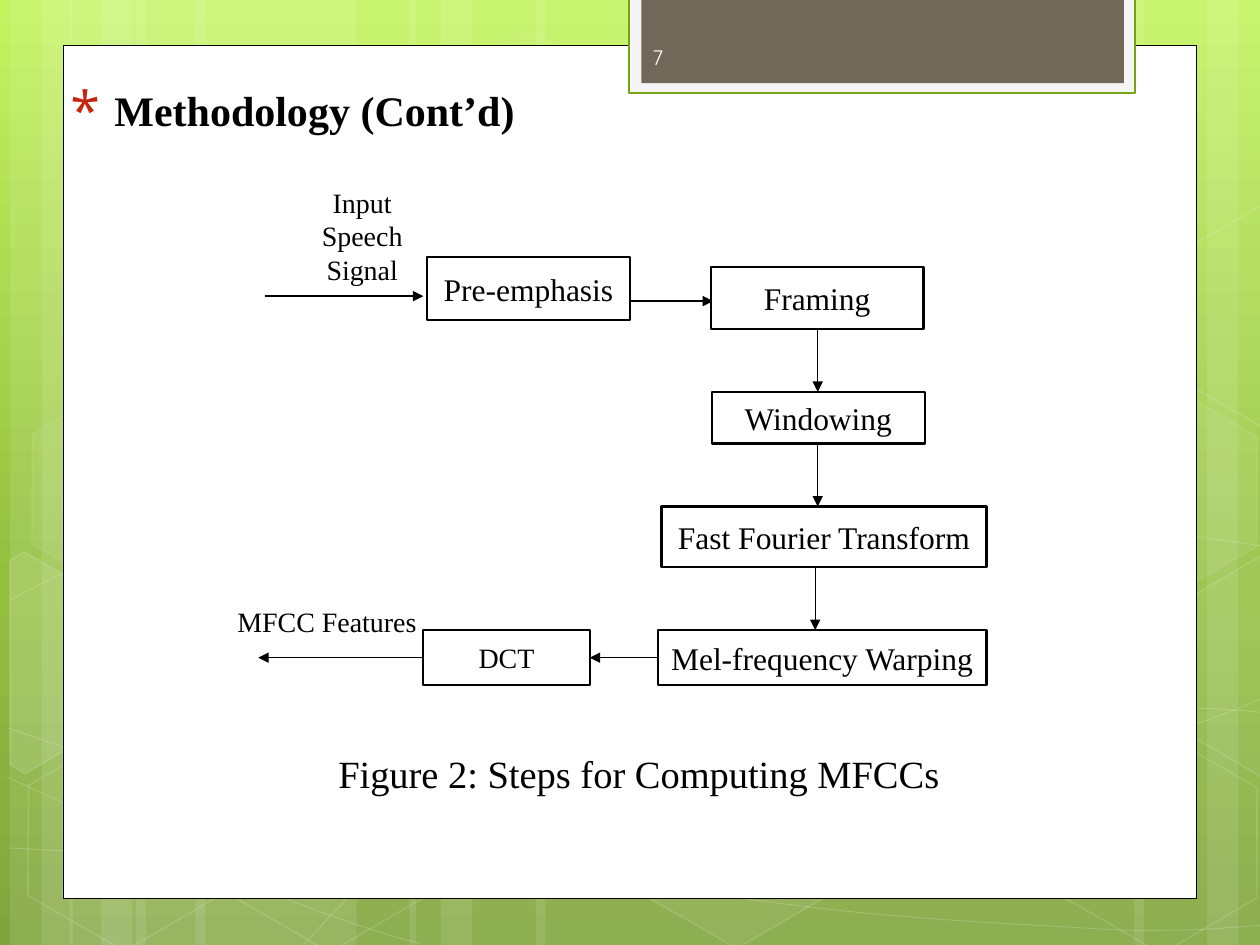
import copy
import pptx
import pptx.util
import pptx.dml.color
import pptx.enum.shapes
import pptx.enum.text
import pptx.oxml.ns
from lxml import etree

Inches, Pt = pptx.util.Inches, pptx.util.Pt
RGBColor = pptx.dml.color.RGBColor
SHAPE = pptx.enum.shapes.MSO_SHAPE
ALIGN, ANCHOR = pptx.enum.text.PP_ALIGN, pptx.enum.text.MSO_ANCHOR
qn = pptx.oxml.ns.qn

WHITE = RGBColor(0xFF, 0xFF, 0xFF)
BLACK = RGBColor(0, 0, 0)
OFF_WHITE = RGBColor(0xF5, 0xF5, 0xF5)
NUMBER_WHITE = RGBColor(0xFE, 0xFE, 0xFE)
GREEN = RGBColor(0x74, 0xA5, 0x10)
BROWN = RGBColor(0x71, 0x68, 0x5A)
RED = RGBColor(0xC3, 0x26, 0x0C)
SKY = [(0, RGBColor(0xC3, 0xF3, 0x5F)), (0.62, RGBColor(0x93, 0xBF, 0x3F)),
       (1, RGBColor(0x81, 0xA5, 0x3E))]
SERIF = "Times New Roman"


def style(sp, fill=None, line=None, width=1, fill_alpha=100, line_alpha=100):
    """Set fill and outline, with opacity in percent."""
    sp.shadow.inherit = False
    if fill is None:
        sp.fill.background()
    else:
        sp.fill.solid()
        sp.fill.fore_color.rgb = fill
    if line is None:
        sp.line.fill.background()
    else:
        sp.line.color.rgb = line
        sp.line.width = Pt(width)
    for where, alpha in (("", fill_alpha), ("a:ln/", line_alpha)):
        if alpha < 100:
            for clr in sp._element.xpath(f"p:spPr/{where}a:solidFill/a:srgbClr"):
                etree.SubElement(clr, qn("a:alpha")).set("val", str(alpha * 1000))


def write(sp, text, size, color=BLACK, font=SERIF, align=ALIGN.CENTER,
          anchor=ANCHOR.TOP, inset=0.1):
    """Fill a shape with one paragraph and return its run."""
    tf = sp.text_frame
    tf.word_wrap = True
    tf.vertical_anchor = anchor
    tf.margin_left = tf.margin_right = Inches(inset)
    p = tf.paragraphs[0]
    p.alignment = align
    r = p.add_run()
    r.text = text
    r.font.size, r.font.name, r.font.color.rgb = Pt(size), font, color
    return r


prs = pptx.Presentation()
prs.slide_width, prs.slide_height = Inches(10), Inches(7.5)
s = prs.slides.add_slide(prs.slide_layouts[6])

# Gradient background
bg = s.background.fill
bg.gradient()
bg.gradient_angle = 270
stops = s._element.xpath(".//p:bg//a:gsLst")[0]
stops.append(copy.deepcopy(stops[0]))
for stop, (pos, color) in zip(bg.gradient_stops, SKY):
    stop.position = pos
    stop.color.rgb = color

# Pale vertical bands
for x, w in [(1.08, 1.75), (0.08, 0.5), (0.33, 0.83), (1.55, 1.75), (0.55, 0.5),
             (0.8, 0.83), (7.33, 1.75), (9.58, 0.5), (9, 0.83), (4.25, 3.08),
             (3.25, 0.5), (3.5, 0.83)]:
    sp = s.shapes.add_shape(SHAPE.RECTANGLE, Inches(x), 0, Inches(w), Inches(7.5))
    style(sp, WHITE, fill_alpha=10)

# Thin curves: a start point, then cubic segments of three points each
curves = [
    [(0.07, 6.73), (0.61, 6.76), (1.15, 6.79), (1.9, 6.78), (2.65, 6.77), (3.58, 6.75),
     (4.58, 6.65), (5.58, 6.55), (7, 6.36), (7.92, 6.17), (8.83, 5.98), (9.77, 5.68),
     (10.07, 5.51)],
    [(0.07, 4.77), (0.36, 4.61), (0.65, 4.46), (1.21, 4.31), (1.78, 4.16), (2.59, 3.94),
     (3.47, 3.87), (4.36, 3.8), (5.44, 3.79), (6.54, 3.87), (7.64, 3.95), (9.47, 4.26),
     (10.07, 4.34)],
    [(0.06, 6.17), (1.27, 6.72), (2.47, 7.27), (3.34, 7.49)],
    [(0.07, 5.78), (0.38, 5.89), (0.7, 6), (1.28, 6.16), (1.86, 6.31), (2.73, 6.56),
     (3.57, 6.73), (4.4, 6.9), (5.45, 7.08), (6.28, 7.18), (7.11, 7.29), (8, 7.33),
     (8.53, 7.36), (9.05, 7.4), (9.19, 7.38), (9.45, 7.38), (9.71, 7.37), (9.89, 7.35),
     (10.07, 7.34)],
    [(2.42, 7.49), (2.6, 7.29), (2.78, 7.09), (3.02, 6.91), (3.26, 6.73), (3.6, 6.53),
     (3.88, 6.39), (4.16, 6.25), (4.33, 6.19), (4.7, 6.09), (5.06, 5.99), (5.73, 5.85),
     (6.08, 5.78), (6.44, 5.71), (6.49, 5.71), (6.8, 5.69), (7.11, 5.66), (7.6, 5.63),
     (7.94, 5.62), (8.29, 5.61), (8.86, 5.62), (8.86, 5.62), (9.08, 5.62), (9.3, 5.62),
     (9.53, 5.62), (9.71, 5.63), (9.88, 5.64), (9.97, 5.65), (10.06, 5.66),
     (10.03, 5.65), (10.06, 5.66)],
]
for pts in curves:
    knots = [(Inches(x), Inches(y)) for x, y in pts]
    fb = s.shapes.build_freeform(*knots[0])
    fb.add_line_segments(knots[1:], close=False)
    sp = fb.convert_to_shape()
    # Join each three straight segments into one cubic
    lines = sp._element.xpath(".//a:lnTo")
    for i in range(0, len(lines), 3):
        cubic = etree.Element(qn("a:cubicBezTo"))
        lines[i].addprevious(cubic)
        for ln in lines[i:i + 3]:
            cubic.append(ln[0])
            ln.getparent().remove(ln)
    style(sp, line=WHITE, width=0.5, line_alpha=20)

# Hexagons: left, top, fill opacity, line opacity
for x, y, fill_a, line_a in [
        (3.34, 0.36, 4, 8), (4.97, 5.89, 6, 12), (0.11, 5.91, 0, 12), (0.14, 3.12, 7, 8),
        (1.74, 5.92, 0, 12), (7.53, 4.53, 10, 12), (8.34, 5.93, 0, 12), (8.34, 3.14, 7, 8)]:
    sp = s.shapes.add_shape(SHAPE.HEXAGON, Inches(x), Inches(y), Inches(1.75), Inches(1.52))
    sp.adjustments[0] = 0.285
    sp.rotation = 30
    style(sp, WHITE if fill_a else None, WHITE, 1, fill_a, line_a)

# Hexagons cut off by the slide edges
for fill_a, pts in [
        (10, [(0.08, 4.45), (0.19, 4.38), (0.96, 4.82), (0.95, 5.7), (0.2, 6.14), (0.08, 6.07)]),
        (4, [(9.26, 4.85), (10.01, 4.41), (10.09, 4.46), (10.09, 6.13), (10.02, 6.17),
             (9.26, 5.73)]),
        (0, [(9.26, 2.07), (10.01, 1.63), (10.1, 1.68), (10.09, 3.35), (10.02, 3.39),
             (9.26, 2.95)])]:
    corners = [(Inches(x), Inches(y)) for x, y in pts]
    fb = s.shapes.build_freeform(*corners[0])
    fb.add_line_segments(corners[1:], close=True)
    style(fb.convert_to_shape(), WHITE if fill_a else None, WHITE, 1, fill_a, 12)

# White panel and the page number tab
for box, fill, line, width in [
        ((0.5, 0.36, 9, 6.77), WHITE, BLACK, 0.5),
        ((4.99, -0.02, 4.02, 0.76), OFF_WHITE, GREEN, 1.25),
        ((5.09, -0.02, 3.83, 0.68), BROWN, None, 0)]:
    sp = s.shapes.add_shape(SHAPE.RECTANGLE, *map(Inches, box))
    style(sp, fill, line, width)

# Arrows of the flow chart
for x1, y1, x2, y2 in [
        (2.1, 2.35, 3.36, 2.35), (5, 2.39, 5.66, 2.39), (6.49, 2.61, 6.49, 3.11),
        (6.49, 3.52, 6.49, 4.02), (6.47, 4.5, 6.47, 5), (5.22, 5.22, 4.68, 5.22),
        (3.36, 5.22, 2.05, 5.22)]:
    c = s.shapes.add_connector(pptx.enum.shapes.MSO_CONNECTOR.STRAIGHT,
                               Inches(x1), Inches(y1), Inches(x2), Inches(y2))
    c.line.color.rgb = BLACK
    c.line.width = Pt(0.75)
    etree.SubElement(c.line._get_or_add_ln(), qn("a:tailEnd")).set("type", "triangle")
    etree.SubElement(c._element.spPr, qn("a:effectLst"))

# Steps of the flow chart
for text, box, size in [
        ("Pre-emphasis", (3.39, 2.04, 1.61, 0.5), 18),
        ("Framing", (5.64, 2.12, 1.69, 0.49), 18),
        ("Windowing", (5.65, 3.11, 1.69, 0.41), 18),
        ("Fast Fourier Transform", (5.25, 4.02, 2.58, 0.48), 18),
        ("Mel-frequency Warping", (5.22, 5, 2.61, 0.44), 18),
        ("DCT", (3.36, 5, 1.32, 0.44), 16)]:
    sp = s.shapes.add_shape(SHAPE.RECTANGLE, *map(Inches, box))
    style(sp, WHITE, BLACK, 1.25)
    write(sp, text, size, anchor=ANCHOR.MIDDLE, inset=0.05)

# Labels and caption
for text, box, size in [
        ("Input Speech Signal", (2.21, 1.42, 1.33, 0.9), 16),
        ("MFCC Features", (1.42, 4.75, 2.35, 0.36), 16),
        ("Figure 2: Steps for Computing MFCCs", (2.3, 5.9, 5.54, 0.46), 22)]:
    write(s.shapes.add_textbox(*map(Inches, box)), text, size)

# Title with a red star bullet
sp = s.shapes.add_textbox(Inches(0.46), Inches(0.62), Inches(7.12), Inches(1.25))
pPr = sp.text_frame.paragraphs[0]._p.get_or_add_pPr()
pPr.set("marL", str(Inches(0.35)))
pPr.set("indent", str(-Inches(0.35)))
clr = etree.SubElement(pPr, qn("a:buClr"))
etree.SubElement(clr, qn("a:srgbClr")).set("val", str(RED))
etree.SubElement(pPr, qn("a:buSzPct")).set("val", "128000")
etree.SubElement(pPr, qn("a:buFont")).set("typeface", "Open Sans")
etree.SubElement(pPr, qn("a:buChar")).set("char", "*")
write(sp, "Methodology (Cont’d)", 24, align=ALIGN.LEFT).font.bold = True

# Page number
sp = s.shapes.add_textbox(Inches(5.08), Inches(0.25), Inches(1.46), Inches(0.4))
write(sp, "7", 12, NUMBER_WHITE, "Quicksand", ALIGN.LEFT, ANCHOR.MIDDLE)

prs.save("out.pptx")
